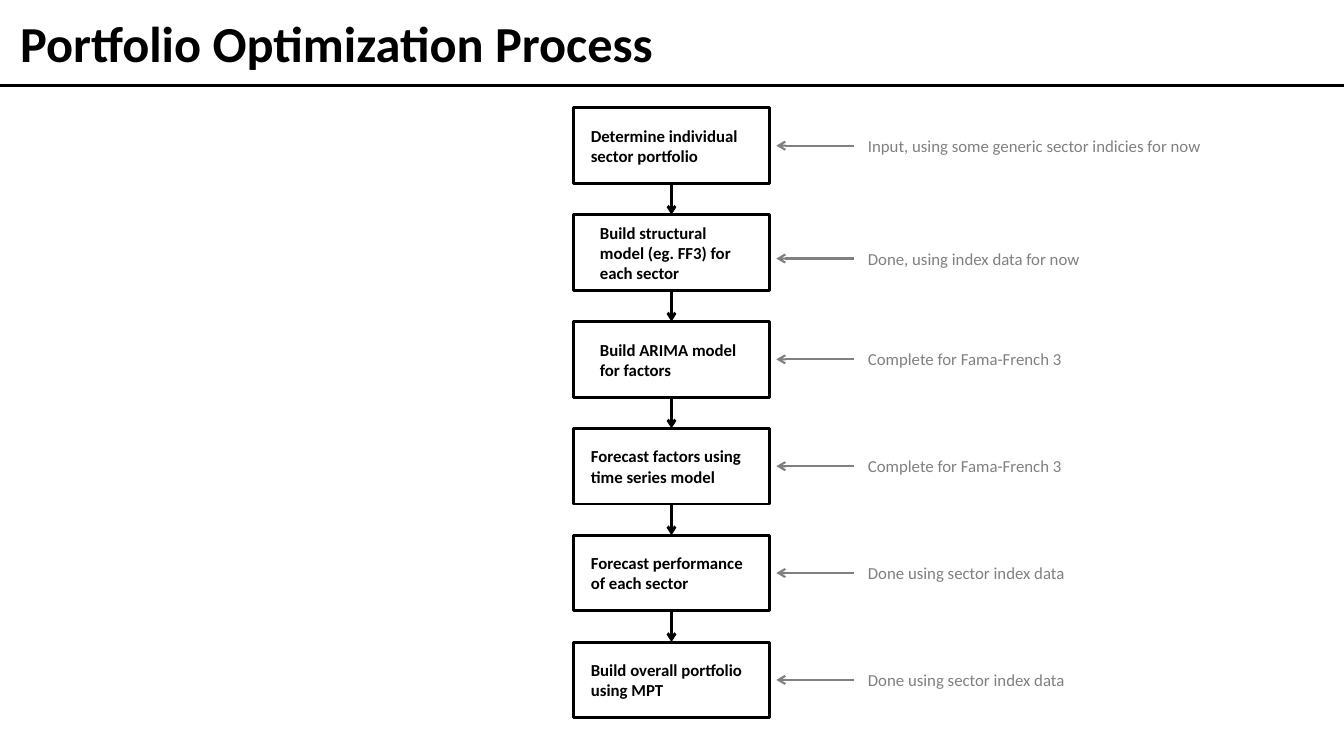
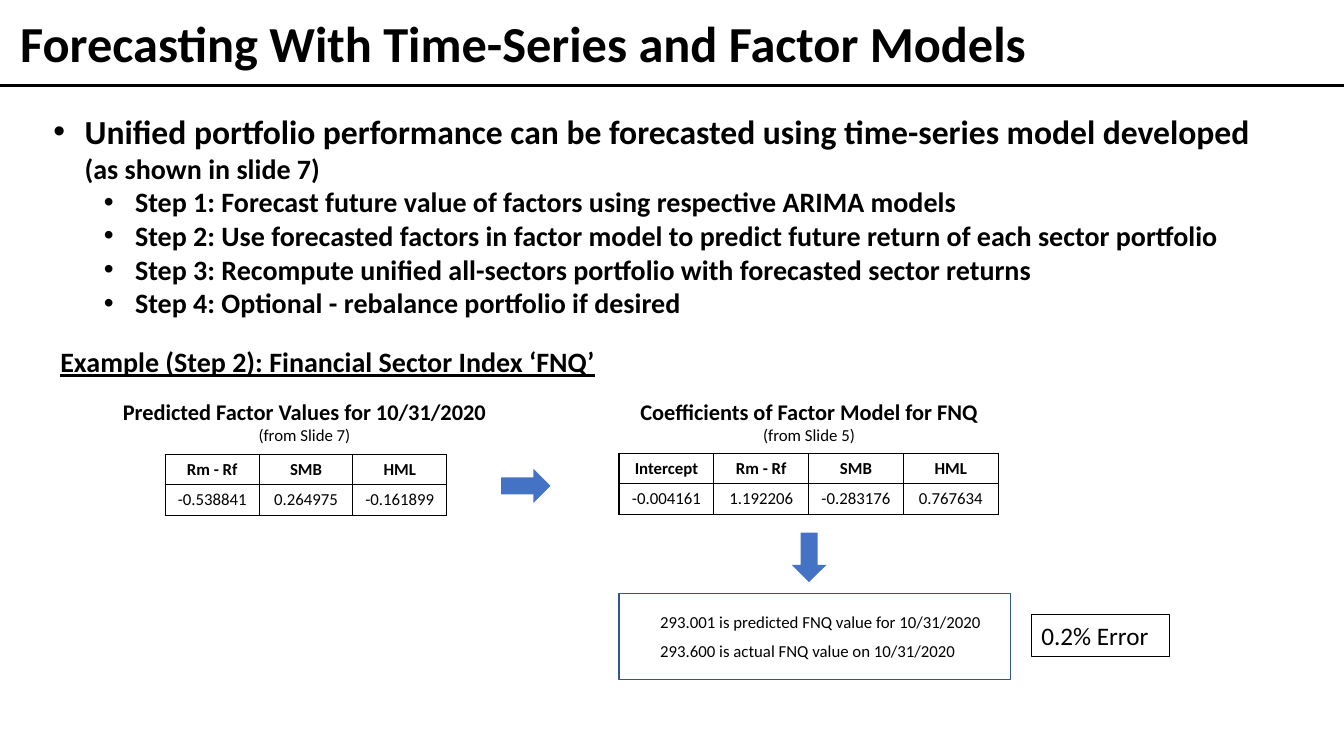
from dataclasses import dataclass

import pptx
import pptx.dml.color
import pptx.enum.shapes
import pptx.enum.text
import pptx.oxml
import pptx.oxml.ns
import pptx.util
from lxml import etree

Inches = pptx.util.Inches
Pt = pptx.util.Pt
ShapeType = pptx.enum.shapes.MSO_SHAPE
Anchor = pptx.enum.text.MSO_ANCHOR
Align = pptx.enum.text.PP_ALIGN
qn = pptx.oxml.ns.qn


@dataclass(frozen=True)
class Theme:
    font: str = "Calibri"
    ink: str = "000000"
    paper: str = "FFFFFF"
    muted: str = "808080"
    accent: str = "4472C4"
    accent_dark: str = "325491"
    title: int = 36
    lead: int = 24
    body: int = 20
    callout: int = 18
    caption: int = 16
    small: int = 12


THEME = Theme()
WIDTH, HEIGHT = 13.33, 7.5

PROCESS_TITLE = "Portfolio Optimization Process"
# step, left inset, note, downward shift of the note
PROCESS = [
    ("Determine individual sector portfolio", 0.17,
     "Input, using some generic sector indicies for now", 0),
    ("Build structural model (eg. FF3) for each sector", 0.26,
     "Done, using index data for now", 0.06),
    ("Build ARIMA model for factors", 0.26, "Complete for Fama-French 3", 0),
    ("Forecast factors using time series model", 0.17, "Complete for Fama-French 3", 0),
    ("Forecast performance of each sector", 0.17, "Done using sector index data", 0),
    ("Build overall portfolio using MPT", 0.17, "Done using sector index data", 0),
]

FORECAST_TITLE = "Forecasting With Time-Series and Factor Models"
LEAD = ("Unified portfolio performance can be forecasted using time-series model developed ",
        "(as shown in slide 7)")
STEPS = [
    "Step 1: Forecast future value of factors using respective ARIMA models",
    "Step 2: Use forecasted factors in factor model to predict future return of each sector portfolio",
    "Step 3: Recompute unified all-sectors portfolio with forecasted sector returns",
    "Step 4: Optional - rebalance portfolio if desired",
]
EXAMPLE = "Example (Step 2): Financial Sector Index ‘FNQ’"
TABLES = [
    {"caption": "Predicted Factor Values for 10/31/2020", "source": "(from Slide 7)",
     "caption_box": (1.08, 3.9, 3.88, 0.57), "left": 1.64, "top": 4.51, "column": 0.93,
     "rows": [("Rm - Rf", "SMB", "HML"),
              ("-0.538841", "0.264975", "-0.161899")]},
    {"caption": "Coefficients of Factor Model for FNQ", "source": "(from Slide 5)",
     "caption_box": (6.01, 3.9, 4.03, 0.57), "left": 6.14, "top": 4.5, "column": 0.94,
     "rows": [("Intercept", "Rm - Rf", "SMB", "HML"),
              ("-0.004161", "1.192206", "-0.283176", "0.767634")]},
]
BLOCK_ARROWS = [((4.97, 4.65, 0.49, 0.34), 0), ((7.78, 5.36, 0.49, 0.34), 90)]
RESULTS = ["293.001 is predicted FNQ value for 10/31/2020",
           "293.600 is actual FNQ value on 10/31/2020"]
ERROR = "0.2% Error"


def color(value):
    return pptx.dml.color.RGBColor.from_string(value)


def inches(box):
    return [Inches(length) for length in box]


def add_run(paragraph, text, size, bold=False, ink=THEME.ink, underline=None):
    run = paragraph.add_run()
    run.text = text
    font = run.font
    font.name, font.size, font.bold, font.underline = THEME.font, Pt(size), bold, underline
    font.color.rgb = color(ink)


def add_text(slide, box, text, size, wrap=True, **style):
    shape = slide.shapes.add_textbox(*inches(box))
    shape.text_frame.word_wrap = wrap
    add_run(shape.text_frame.paragraphs[0], text, size, **style)
    return shape


def set_line(line, ink, width):
    line.color.rgb = color(ink)
    line.width = Pt(width)


def add_line(slide, start, end, ink, width, arrow=False):
    connector = slide.shapes.add_connector(
        pptx.enum.shapes.MSO_CONNECTOR.STRAIGHT, *inches(start + end))
    set_line(connector.line, ink, width)
    if arrow:
        etree.SubElement(connector.line._get_or_add_ln(), qn("a:tailEnd"), type="arrow")
    etree.SubElement(connector._element.spPr, qn("a:effectLst"))


def add_box(slide, kind, box, fill=None, line=None, width=1):
    shape = slide.shapes.add_shape(kind, *inches(box))
    shape.shadow.inherit = False
    if fill:
        shape.fill.solid()
        shape.fill.fore_color.rgb = color(fill)
    else:
        shape.fill.background()
    if line:
        set_line(shape.line, line, width)
    else:
        shape.line.fill.background()
    return shape


def place(placeholder, box):
    placeholder.left, placeholder.top, placeholder.width, placeholder.height = inches(box)
    frame = placeholder.text_frame
    frame.auto_size = pptx.enum.text.MSO_AUTO_SIZE.NONE
    frame.word_wrap = True
    return frame


def new_slide(presentation, layout, title):
    """Add a slide with the shared title and the rule below it."""
    slide = presentation.slides.add_slide(presentation.slide_layouts.get_by_name(layout))
    frame = place(slide.shapes.title, (0.1, 0.08, 11.5, 0.69))
    frame.vertical_anchor = Anchor.MIDDLE
    frame.paragraphs[0].alignment = Align.LEFT
    add_run(frame.paragraphs[0], title, THEME.title, bold=True)
    add_line(slide, (0, 0.85), (WIDTH, 0.85), THEME.ink, 2.5)
    return slide


def format_bullet(paragraph, level):
    paragraph.level = level
    paragraph.space_before = Pt(0)
    properties = paragraph._p.get_or_add_pPr()
    properties.set("marL", str(Inches(0.31 + 0.5 * level)))
    properties.set("indent", str(Inches(-0.31)))
    etree.SubElement(properties, qn("a:buFont"), typeface="Arial")
    etree.SubElement(properties, qn("a:buChar"), char="•")


def format_cell(cell):
    properties = cell._tc.get_or_add_tcPr()
    for side in ("lnL", "lnR", "lnT", "lnB"):
        border = etree.SubElement(properties, qn("a:" + side), w=str(Pt(1)))
        fill = etree.SubElement(border, qn("a:solidFill"))
        etree.SubElement(fill, qn("a:srgbClr"), val=THEME.ink)
    cell.fill.solid()
    cell.fill.fore_color.rgb = color(THEME.paper)


def add_factor_table(slide, data):
    caption = add_text(slide, data["caption_box"], data["caption"], THEME.caption, bold=True)
    source = caption.text_frame.add_paragraph()
    add_run(source, data["source"], THEME.small)
    for paragraph in caption.text_frame.paragraphs:
        paragraph.alignment = Align.CENTER

    rows = data["rows"]
    columns = len(rows[0])
    table = slide.shapes.add_table(len(rows), columns, *inches(
        (data["left"], data["top"], columns * data["column"], 0.3 * len(rows)))).table
    table.first_row = table.horz_banding = False
    for column in table.columns:
        column.width = Inches(data["column"])
    for row_index, row in enumerate(rows):
        for column_index, value in enumerate(row):
            cell = table.cell(row_index, column_index)
            format_cell(cell)
            paragraph = cell.text_frame.paragraphs[0]
            paragraph.alignment = Align.CENTER
            add_run(paragraph, value, THEME.small, bold=row_index == 0)


def build_process(presentation):
    slide = new_slide(presentation, "Title Only", PROCESS_TITLE)
    left, top, width, height, pitch = 5.69, 1.07, 1.94, 0.75, 1.06
    center = left + width / 2
    for index, (step, inset, note, shift) in enumerate(PROCESS):
        y = top + index * pitch
        box = add_box(slide, ShapeType.RECTANGLE, (left, y, width, height),
                      THEME.paper, THEME.ink, 2)
        frame = box.text_frame
        frame.word_wrap = True
        frame.vertical_anchor = Anchor.MIDDLE
        frame.margin_left = frame.margin_right = Inches(inset)
        frame.margin_top = frame.margin_bottom = 0
        frame.paragraphs[0].alignment = Align.LEFT
        add_run(frame.paragraphs[0], step, THEME.small, bold=True)
        if index:
            add_line(slide, (center, y - pitch + height), (center, y), THEME.ink, 2, arrow=True)
        middle = y + height / 2 + shift
        add_line(slide, (8.47, middle), (7.7, middle), THEME.muted, 1.5, arrow=True)
        add_text(slide, (8.51, middle - 0.15, 3.54, 0.3), note, THEME.small,
                 wrap=False, ink=THEME.muted)


def build_forecast(presentation):
    slide = new_slide(presentation, "Title and Content", FORECAST_TITLE)
    frame = place(slide.placeholders[1], (0.43, 1.05, 12.46, 2.19))
    lead = frame.paragraphs[0]
    format_bullet(lead, 0)
    for text, size in zip(LEAD, (THEME.lead, THEME.body)):
        add_run(lead, text, size, bold=True)
    for step in STEPS:
        paragraph = frame.add_paragraph()
        format_bullet(paragraph, 1)
        add_run(paragraph, step, THEME.body, bold=True)

    add_text(slide, (0.5, 3.37, 6.53, 0.44), EXAMPLE, THEME.body, bold=True, underline=True)
    for data in TABLES:
        add_factor_table(slide, data)
    for box, rotation in BLOCK_ARROWS:
        add_box(slide, ShapeType.RIGHT_ARROW, box, THEME.accent).rotation = rotation

    add_box(slide, ShapeType.RECTANGLE, (6.14, 5.89, 3.88, 0.85), line=THEME.accent_dark)
    for index, result in enumerate(RESULTS):
        add_text(slide, (6.45, 6.02 + 0.29 * index, 3.4, 0.3), result, THEME.small, wrap=False)
    error = add_text(slide, (10.23, 6.1, 1.37, 0.41), ERROR, THEME.callout)
    set_line(error.line, THEME.ink, 0.75)


def main():
    presentation = pptx.Presentation()
    presentation.slide_width, presentation.slide_height = inches((WIDTH, HEIGHT))
    build_process(presentation)
    build_forecast(presentation)
    presentation.save("out.pptx")


if __name__ == "__main__":
    main()
